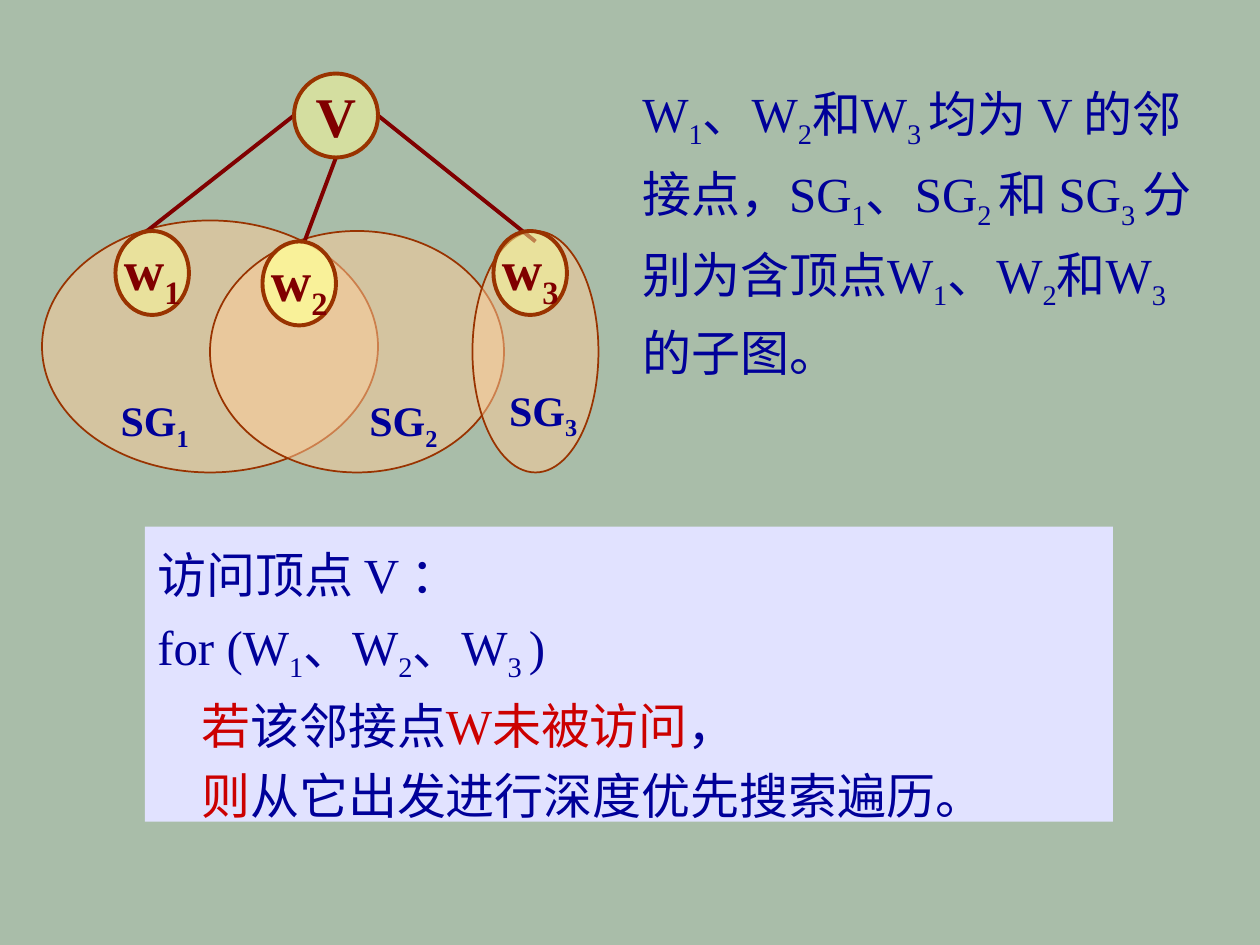
from lxml import etree
from pptx import Presentation
from pptx.dml.color import RGBColor
from pptx.enum.shapes import MSO_CONNECTOR, MSO_SHAPE
from pptx.enum.text import MSO_ANCHOR, PP_ALIGN
from pptx.oxml.ns import qn
from pptx.util import Inches, Pt

COLORS = {name: RGBColor.from_string(code) for name, code in {
    "background": "A9BDA9", "vertex": "FFFF99", "subgraph": "FFCC99",
    "outline": "993300", "edge": "800000", "text": "000099",
    "keyword": "CC0000", "panel": "E1E2FF"}.items()}

prs = Presentation()
prs.slide_width, prs.slide_height = Inches(10), Inches(7.5)
UNIT = prs.slide_width / 120  # grid of 120 columns by 90 rows

slide = prs.slides.add_slide(prs.slide_layouts[6])
slide.background.fill.solid()
slide.background.fill.fore_color.rgb = COLORS["background"]
shapes = slide.shapes


def add_ellipse(cell, color, opacity, line_width):
    """Add a translucent ellipse; cell is left, top, width, height in grid units."""
    ellipse = shapes.add_shape(MSO_SHAPE.OVAL, *(round(n * UNIT) for n in cell))
    ellipse.shadow.inherit = False
    ellipse.fill.solid()
    ellipse.fill.fore_color.rgb = COLORS[color]
    tint = ellipse.fill._xPr.find(".//" + qn("a:srgbClr"))
    etree.SubElement(tint, qn("a:alpha")).set("val", str(opacity * 1000))
    ellipse.line.color.rgb = COLORS["outline"]
    ellipse.line.width = Pt(line_width)
    return ellipse


def write(paragraph, markup, size, color="text", bold=False):
    """Fill a paragraph; *...* marks keyword colour and |...| a subscript."""
    for i, phrase in enumerate(markup.split("*")):
        for j, piece in enumerate(phrase.split("|")):
            if not piece:
                continue
            run = paragraph.add_run()
            run.text = piece
            run.font.name = "Times New Roman"
            run.font.size = Pt(size)
            run.font.bold = bold
            run.font.color.rgb = COLORS["keyword" if i % 2 else color]
            if j % 2:
                run.font._element.set("baseline", "-25000")


# Subgraphs, with the edges from V to its neighbours
for cell in [(4, 21, 32, 24), (20, 22, 28, 23), (45, 22, 12, 23)]:
    add_ellipse(cell, "subgraph", 50, 1)

for ends in [(28, 11, 14, 22), (32, 15, 29, 23), (36, 11, 51, 23)]:
    edge = shapes.add_connector(MSO_CONNECTOR.STRAIGHT, *(round(n * UNIT) for n in ends))
    edge.line.color.rgb = COLORS["edge"]
    edge.line.width = Pt(2.25)
    etree.SubElement(edge._element.spPr, qn("a:effectLst"))

# Vertices
for label, cell, opacity in [("V", (28, 7, 8, 8), 50), ("w|1|", (11, 22, 7, 8), 50),
                             ("w|2|", (25, 23, 7, 8), 75), ("w|3|", (47, 22, 7, 8), 50)]:
    frame = add_ellipse(cell, "vertex", opacity, 2.25).text_frame
    frame.word_wrap = False
    frame.vertical_anchor = MSO_ANCHOR.MIDDLE
    frame.paragraphs[0].alignment = PP_ALIGN.CENTER
    write(frame.paragraphs[0], label, 32, "edge", bold=True)

# Subgraph names
for number, (column, row) in enumerate([(10.3, 37), (34, 37), (47.3, 36)], start=1):
    name = shapes.add_textbox(*(round(n * UNIT) for n in (column, row, 9.7, 6)))
    name.text_frame.word_wrap = True
    write(name.text_frame.paragraphs[0], f"SG|{number}|", 24, bold=True)

# Explanation
explanation = shapes.add_textbox(*(round(n * UNIT) for n in (60, 6.1, 57.2, 28.1)))
explanation.text_frame.word_wrap = True
meaning = explanation.text_frame.paragraphs[0]
meaning.line_spacing = 1.2
write(meaning, "W|1|、W|2|和W|3 |均为 V 的邻接点，SG|1|、SG|2 |和 SG|3 |"
               "分别为含顶点W|1|、W|2|和W|3 |的子图。", 28)

# Traversal steps
panel = shapes.add_shape(MSO_SHAPE.RECTANGLE,
                         *(round(n * UNIT) for n in (13.8, 50.15, 92.2, 28.1)))
panel.shadow.inherit = False
panel.fill.solid()
panel.fill.fore_color.rgb = COLORS["panel"]
panel.line.fill.background()
panel.text_frame.word_wrap = True
panel.text_frame.vertical_anchor = MSO_ANCHOR.TOP
steps = [("访问顶点 V ：", 0), ("for (W|1|、W|2|、W|3 |)", 0),
         ("*若*该邻接点*W未被访问*，", 0.35), ("*则*从它出发进行深度优先搜索遍历。", 0.35)]
for i, (step, indent) in enumerate(steps):
    line = panel.text_frame.add_paragraph() if i else panel.text_frame.paragraphs[0]
    line.alignment = PP_ALIGN.LEFT
    line.line_spacing = 1.2
    line._p.get_or_add_pPr().set("marL", str(Inches(indent)))
    write(line, step, 28)

prs.save("out.pptx")
